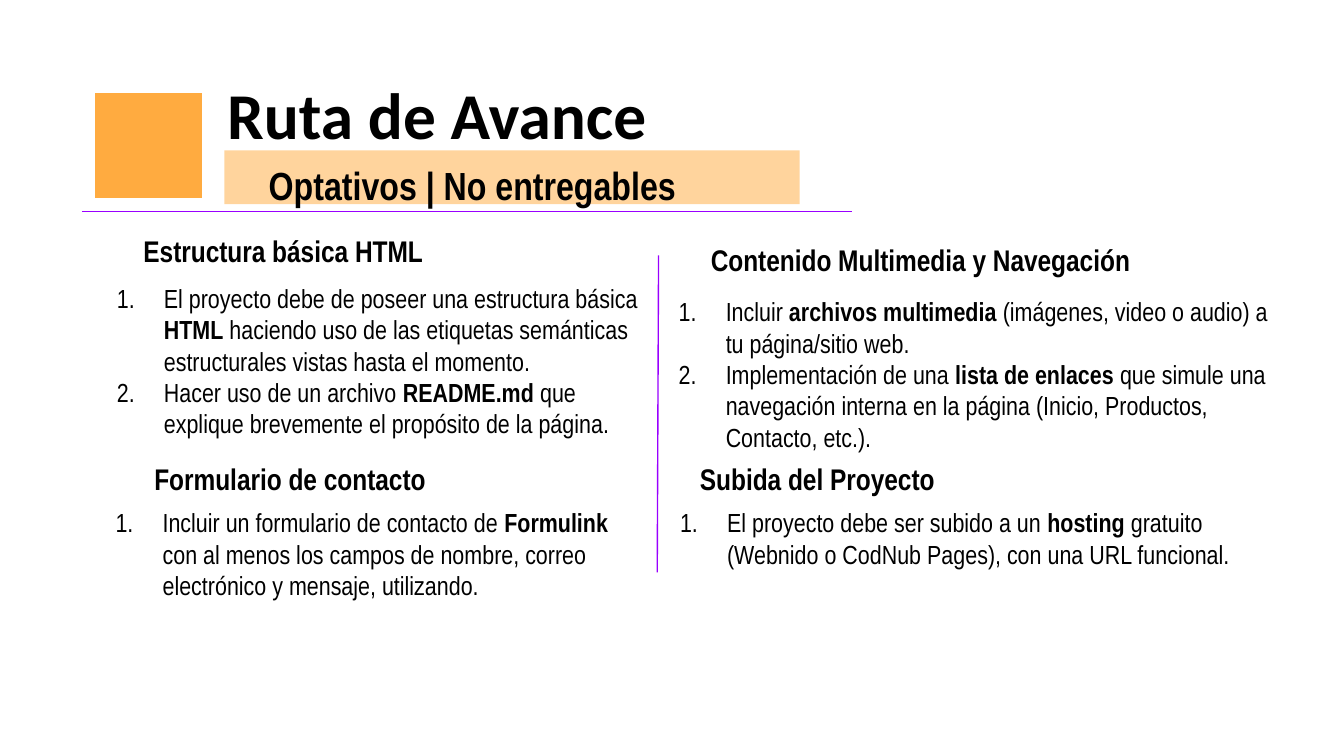
from dataclasses import dataclass

from lxml import etree
from pptx import Presentation
from pptx.dml.color import RGBColor
from pptx.enum.shapes import MSO_CONNECTOR, MSO_SHAPE
from pptx.enum.text import MSO_ANCHOR, MSO_AUTO_SIZE, PP_ALIGN
from pptx.oxml.ns import qn
from pptx.util import Pt

STRAIGHT = MSO_CONNECTOR.STRAIGHT
RECTANGLE = MSO_SHAPE.RECTANGLE
TOP, MIDDLE = MSO_ANCHOR.TOP, MSO_ANCHOR.MIDDLE
NO_AUTOFIT = MSO_AUTO_SIZE.NONE
LEFT = PP_ALIGN.LEFT
COMPARISON_LAYOUT = 4


@dataclass(frozen=True)
class Theme:
    ink: str = "000000"
    paper: str = "FFFFFF"
    accent: str = "FFAB40"
    rule: str = "9900FF"
    title_font: str = "Calibri"
    text_font: str = "Arial Narrow"
    title_size: float = 35
    subtitle_size: float = 21
    heading_size: float = 16
    list_size: float = 14
    inset: float = 7.2
    list_margin: float = 36
    list_hanging: float = 25.2


def add_element(parent, tag, **attributes):
    return etree.SubElement(parent, qn(tag), attributes)


def number_paragraph(paragraph, theme):
    properties = paragraph._p.get_or_add_pPr()
    properties.set("marL", str(Pt(theme.list_margin)))
    properties.set("indent", str(-Pt(theme.list_hanging)))
    color = add_element(properties, "a:buClr")
    add_element(color, "a:srgbClr", val=theme.ink)
    add_element(properties, "a:buFont", typeface=theme.text_font)
    add_element(properties, "a:buAutoNum", type="arabicPeriod")


def write_text(frame, paragraphs, theme, *, size, font=None, bold=False,
               numbered=False, anchor=TOP, inset=None, line_spacing=1.0):
    """Fill a frame; parts between ** marks are bold."""
    inset = theme.inset if inset is None else inset
    frame.word_wrap = True
    frame.auto_size = NO_AUTOFIT
    frame.vertical_anchor = anchor
    frame.margin_left = frame.margin_right = Pt(inset)
    frame.margin_top = frame.margin_bottom = Pt(inset)
    for position, content in enumerate(paragraphs):
        paragraph = frame.add_paragraph() if position else frame.paragraphs[0]
        paragraph.alignment = LEFT
        paragraph.space_before = paragraph.space_after = Pt(0)
        paragraph.line_spacing = line_spacing
        if numbered:
            number_paragraph(paragraph, theme)
        for part, wording in enumerate(content.split("**")):
            if not wording:
                continue
            run = paragraph.add_run()
            run.text = wording
            run.font.name = font or theme.text_font
            run.font.size = Pt(size)
            run.font.bold = bold or part % 2 == 1
            run.font.color.rgb = RGBColor.from_string(theme.ink)


class SlideBuilder:
    def __init__(self, slide, theme):
        self.slide = slide
        self.theme = theme

    def _place(self, shape, box):
        shape.left, shape.top, shape.width, shape.height = map(Pt, box)

    def title(self, wording, box):
        title = self.slide.shapes.title
        self._place(title, box)
        write_text(title.text_frame, [wording], self.theme, bold=True,
                   size=self.theme.title_size, font=self.theme.title_font,
                   anchor=MIDDLE)

    def numbered_list(self, placeholder_index, items, box):
        body = self.slide.placeholders[placeholder_index]
        self._place(body, box)
        write_text(body.text_frame, items, self.theme,
                   size=self.theme.list_size, numbered=True)

    def label(self, wording, box, **text_format):
        label = self.slide.shapes.add_textbox(*map(Pt, box))
        write_text(label.text_frame, [wording], self.theme, bold=True, **text_format)

    def block(self, box, opacity=None, outline=None):
        block = self.slide.shapes.add_shape(RECTANGLE, *map(Pt, box))
        block.shadow.inherit = False
        block.fill.solid()
        block.fill.fore_color.rgb = RGBColor.from_string(self.theme.accent)
        if opacity is not None:
            color = block._element.spPr.find(qn("a:solidFill"))[0]
            add_element(color, "a:alpha", val=str(opacity * 1000))
        if outline:
            block.line.color.rgb = RGBColor.from_string(outline)
            block.line.width = Pt(1.4)
        else:
            block.line.fill.background()

    def rule(self, *ends):
        rule = self.slide.shapes.add_connector(STRAIGHT, *map(Pt, ends))
        rule.line.color.rgb = RGBColor.from_string(self.theme.rule)
        rule.line.width = Pt(0.75)
        add_element(rule._element.spPr, "a:effectLst")


HEADING_HEIGHT = 28.8
LIST_HEIGHT = 107.3

# Heading, its (left, top, width), list items, their (left, top, width)
SECTIONS = [
    ("Estructura básica HTML", (69.8, 117.4, 270.7),
     ["El proyecto debe de poseer una estructura básica **HTML** haciendo uso de "
      "las etiquetas semánticas estructurales vistas hasta el momento.",
      "Hacer uso de un archivo** README.md** que explique brevemente el propósito "
      "de la página."], (44.6, 144, 308.2)),
    ("Contenido Multimedia y Navegación", (373.7, 122.4, 329.8),
     ["Incluir** archivos multimedia** (imágenes, video o audio) a tu "
      "página/sitio web.",
      "Implementación de una **lista de enlaces **que simule una navegación interna "
      "en la página (Inicio, Productos, Contacto, etc.)."], (345.6, 151.2, 346.3)),
    ("Formulario de contacto", (75.6, 239.8, 270.7),
     ["Incluir un formulario de contacto de **Formulink **con al menos los campos "
      "de nombre, correo electrónico y mensaje, utilizando."],
     (43.9, 264.2, 302.4)),
    ("Subida del Proyecto", (367.9, 239.8, 270.7),
     ["El proyecto debe ser subido a un **hosting** gratuito (Webnido o "
      "CodNub Pages), con una URL funcional."], (346.3, 264.2, 333.4)),
]


def main():
    presentation = Presentation()
    presentation.slide_width, presentation.slide_height = Pt(720), Pt(405)
    layout = presentation.slide_layouts[COMPARISON_LAYOUT]
    theme = Theme()
    builder = SlideBuilder(presentation.slides.add_slide(layout), theme)

    builder.title("Ruta de Avance", (114.5, 31.7, 520.6, 58.3))
    builder.block((50.4, 49, 58.3, 57.6), outline=theme.paper)
    builder.block((120.2, 80.6, 308.2, 28.8), opacity=51)
    builder.label("Optativos | No entregables", (144, 81.4, 302.4, 25.2),
                  size=theme.subtitle_size, inset=0, line_spacing=1.2)
    builder.rule(43.9, 113.2, 456.5, 113.2)

    for index, (heading, heading_box, items, list_box) in enumerate(SECTIONS, 1):
        builder.label(heading, (*heading_box, HEADING_HEIGHT), size=theme.heading_size)
        builder.numbered_list(index, items, (*list_box, LIST_HEIGHT))
    builder.rule(352.8, 136.8, 352.1, 306.7)

    presentation.save("out.pptx")


if __name__ == "__main__":
    main()
